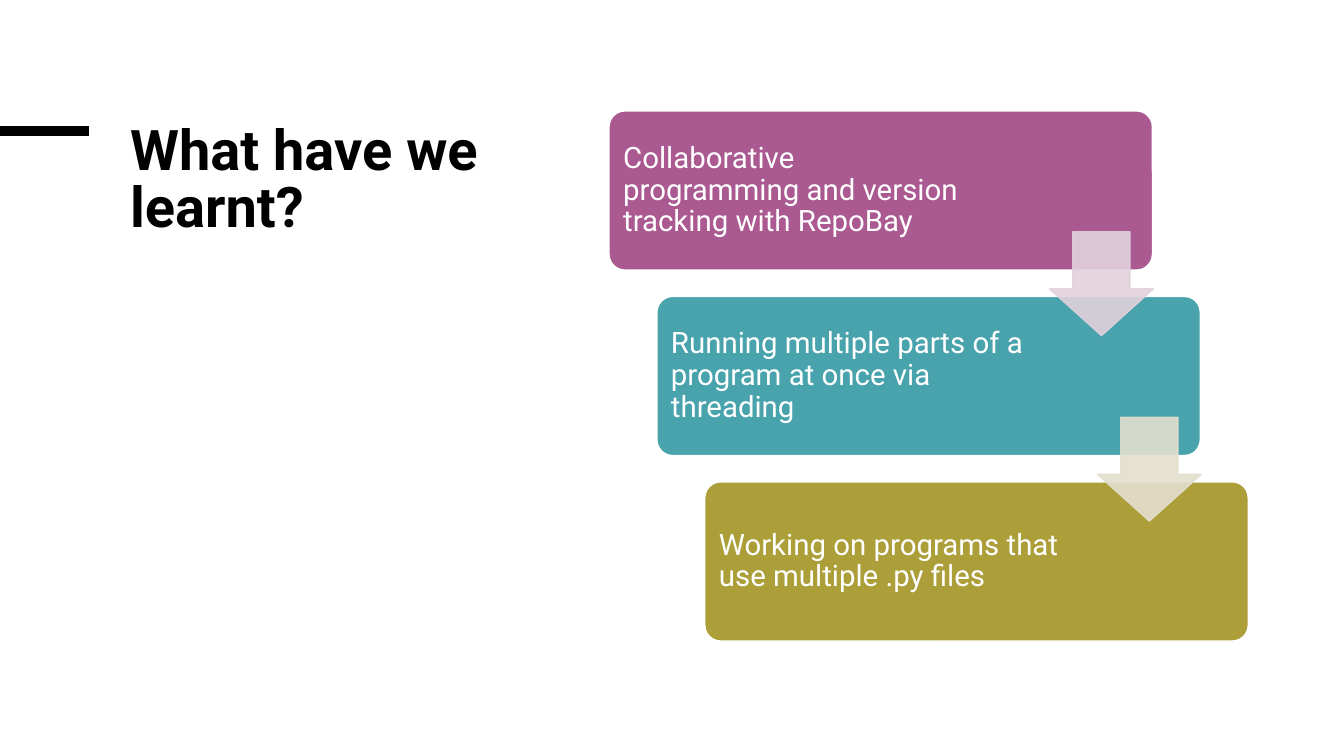
from lxml.etree import SubElement
from pptx import Presentation
from pptx.dml.color import RGBColor
from pptx.enum.shapes import MSO_CONNECTOR as Line, MSO_SHAPE as Shape
from pptx.enum.text import MSO_ANCHOR as Anchor, MSO_AUTO_SIZE as Fit, PP_ALIGN as Align
from pptx.oxml.ns import qn
from pptx.util import Inches, Pt

FONT = "Roboto"
COLORS = {
    "black": "000000", "white": "FFFFFF",
    "plum": "AB5991", "teal": "48A3AD", "olive": "AC9F39",
    "pink": "E2D1DC", "cream": "E3DFCE",
}
# wording, box colour, text width
STEPS = [
    ("Collaborative programming and version tracking with RepoBay", "plum", 3.68),
    ("Running multiple parts of a program at once via threading", "teal", 3.8),
    ("Working on programs that use multiple .py files", "olive", 3.8),
]
ARROWS = ["pink", "cream"]


def color(name):
    return RGBColor.from_string(COLORS[name])


def write(frame, text, size, tint, spacing, bold=False):
    frame.text = text
    frame.word_wrap = True
    frame.auto_size = Fit.NONE
    para = frame.paragraphs[0]
    para.alignment = Align.LEFT
    para.line_spacing = spacing
    font = para.runs[0].font
    font.name, font.size, font.bold = FONT, Pt(size), bold
    font.color.rgb = color(tint)


def add_block(slide, kind, x, y, w, h, fill, edge):
    block = slide.shapes.add_shape(kind, Inches(x), Inches(y), Inches(w), Inches(h))
    block.shadow.inherit = False
    block.fill.solid()
    block.fill.fore_color.rgb = color(fill)
    block.line.color.rgb = color(edge)
    block.line.width = Pt(1)
    return block


def add_title(slide, x, y, w, h):
    title = slide.shapes.title
    title.left, title.top, title.width, title.height = map(Inches, (x, y, w, h))
    write(title.text_frame, "What have we learnt?", 40, "black", 0.85, True)
    title.text_frame.vertical_anchor = Anchor.TOP
    rule = slide.shapes.add_connector(
        Line.STRAIGHT, 0, Inches(y + 0.11), Inches(0.88), Inches(y + 0.11))
    rule.line.color.rgb = color("black")
    rule.line.width = Pt(6.75)
    SubElement(rule._element.spPr, qn("a:effectLst"))


def add_step(slide, x, y, w, h, text, fill, width):
    box = add_block(slide, Shape.ROUNDED_RECTANGLE, x, y, w, h, fill, "white")
    box.adjustments[0] = 0.1
    pad = 0.05
    label = slide.shapes.add_textbox(
        Inches(x + pad), Inches(y + pad), Inches(width), Inches(h - 2 * pad))
    frame = label.text_frame
    write(frame, text, 21, "white", 0.9)
    frame.vertical_anchor = Anchor.MIDDLE
    frame.margin_left = frame.margin_right = Inches(0.09)
    frame.margin_top = frame.margin_bottom = Inches(0.09)


def add_arrow(slide, x, y, size, fill):
    arrow = add_block(slide, Shape.DOWN_ARROW, x, y, size, size, fill, fill)
    arrow.adjustments[0], arrow.adjustments[1] = 0.55, 0.45
    for tint in arrow._element.spPr.iter(qn("a:srgbClr")):
        SubElement(tint, qn("a:alpha"), val="90000")


def add_stairs(slide, x, y, w, h):
    """Place the steps down the diagonal of the box, with arrows between them."""
    wide, high = 5.39, 1.58
    gaps = len(STEPS) - 1
    across, down = (w - wide) / gaps, (h - high) / gaps
    for i, step in enumerate(STEPS):
        add_step(slide, x + i * across, y + i * down, wide, high, *step)
    for i, fill in enumerate(ARROWS):
        add_arrow(slide, x + 4.37 + i * across, y + 1.2 + i * down, 1.03, fill)


def main():
    deck = Presentation()
    deck.slide_width, deck.slide_height = Inches(13.33), Inches(7.5)
    slide = deck.slides.add_slide(deck.slide_layouts[5])
    add_title(slide, 1.19, 1.19, 4.12, 2.56)
    add_stairs(slide, 6.04, 1.1, 6.34, 5.26)
    deck.save("out.pptx")


if __name__ == "__main__":
    main()
